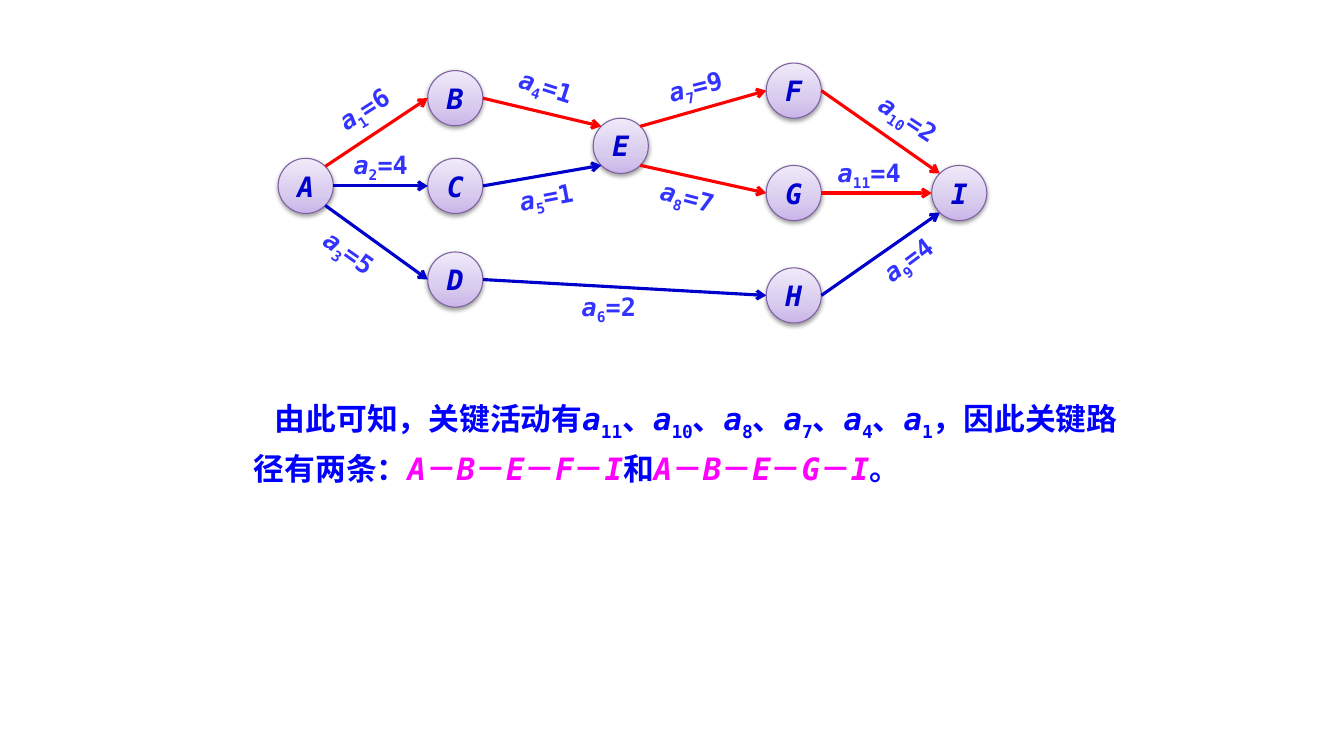
from copy import deepcopy
from math import cos, radians, sin

from lxml import etree
from pptx import Presentation, util as u
from pptx.dml.color import RGBColor
from pptx.enum import lang, shapes, text
from pptx.oxml.ns import qn

COLOURS = {
    "letter": "0000CC",
    "label": "3333FF",
    "note": "0000FF",
    "path": "FF00FF",
    "critical": "FF0000",
    "ordinary": "0000CC",
    "outline": "7D60A0",
    "shadow": "000000",
}
NODE_STOPS = [(0, "C9B5E8"), (0.35, "D8CBEE"), (1, "F0EAF9")]
NODE_SIZE = 1.39
LABEL_SIZE = (2.39, 0.79)

TOP_LEFT, LEFT, BOTTOM_LEFT, BOTTOM_RIGHT, RIGHT, TOP_RIGHT = 1, 2, 3, 5, 6, 7

EVENTS = {
    "A": (7.01, 3.99),
    "B": (10.78, 1.78),
    "C": (10.78, 3.99),
    "D": (10.78, 6.35),
    "E": (14.95, 2.98),
    "F": (19.31, 1.59),
    "G": (19.31, 4.17),
    "H": (19.31, 6.75),
    "I": (23.48, 4.17),
}
ACTIVITIES = [
    ("A", TOP_RIGHT, "B", LEFT, "critical"),
    ("A", RIGHT, "C", LEFT, "ordinary"),
    ("A", BOTTOM_RIGHT, "D", LEFT, "ordinary"),
    ("B", RIGHT, "E", TOP_LEFT, "critical"),
    ("C", RIGHT, "E", BOTTOM_LEFT, "ordinary"),
    ("E", TOP_RIGHT, "F", LEFT, "critical"),
    ("E", BOTTOM_RIGHT, "G", LEFT, "critical"),
    ("D", RIGHT, "H", LEFT, "ordinary"),
    ("F", RIGHT, "I", TOP_LEFT, "critical"),
    ("G", RIGHT, "I", LEFT, "critical"),
    ("H", RIGHT, "I", BOTTOM_LEFT, "ordinary"),
]
WEIGHTS = [
    (1, 6, 7.98, 2.36, 327.3),
    (2, 4, 8.4, 3.76, 0),
    (3, 5, 7.6, 5.97, 35.2),
    (4, 1, 12.57, 1.78, 17.8),
    (5, 1, 12.57, 4.57, 349.2),
    (6, 2, 14.15, 7.34, 0),
    (7, 9, 16.33, 1.78, 346),
    (8, 7, 16.13, 4.57, 14.7),
    (9, 4, 21.69, 6.15, 323.4),
    (10, 2, 21.69, 2.59, 33.4),
    (11, 4, 20.71, 3.96, 0),
]


class NetworkSlide:
    font = "DejaVu Sans Mono"

    def __init__(self, page):
        self.page = page
        self.nodes = {}

    def colour(self, name):
        return RGBColor.from_string(COLOURS[name])

    def span(self, para, string, size, colour, italic=False, subscript=False):
        span = para.add_run()
        span.text = string
        span.font.name = self.font
        span.font.size = u.Pt(size)
        span.font.bold = True
        span.font.italic = italic
        span.font.color.rgb = self.colour(colour)
        span.font.language_id = lang.MSO_LANGUAGE_ID.SIMPLIFIED_CHINESE
        if subscript:
            span.font._element.set("baseline", "-25000")

    def activity_name(self, para, number, size, colour):
        self.span(para, "a", size, colour, italic=True)
        self.span(para, str(number), size, colour, subscript=True)

    def clear_margins(self, frame):
        frame.margin_left = frame.margin_right = 0
        frame.margin_top = frame.margin_bottom = 0

    def node(self, name, left, top):
        node = self.page.shapes.add_shape(
            shapes.MSO_SHAPE.OVAL, u.Cm(left), u.Cm(top), u.Cm(NODE_SIZE), u.Cm(NODE_SIZE))
        node.fill.gradient()
        node.fill.gradient_angle = 90
        properties = node._element.spPr
        stop_list = properties.find(".//" + qn("a:gsLst"))
        stop_list.append(deepcopy(stop_list[0]))
        for stop, (position, hex_colour) in zip(node.fill.gradient_stops, NODE_STOPS):
            stop.position = position
            stop.color.rgb = RGBColor.from_string(hex_colour)
        node.line.color.rgb = self.colour("outline")
        node.line.width = u.Pt(0.75)
        node.shadow.inherit = False
        shadow = etree.SubElement(
            properties.find(qn("a:effectLst")), qn("a:outerShdw"),
            blurRad="40000", dist="20000", dir="5400000", rotWithShape="0")
        shade = etree.SubElement(shadow, qn("a:srgbClr"), val=COLOURS["shadow"])
        etree.SubElement(shade, qn("a:alpha"), val="38000")
        frame = node.text_frame
        self.clear_margins(frame)
        frame.vertical_anchor = text.MSO_ANCHOR.MIDDLE
        para = frame.paragraphs[0]
        para.alignment = text.PP_ALIGN.CENTER
        self.span(para, name, 20, "letter", italic=True)
        self.nodes[name] = node

    def site_point(self, node, site):
        angle = radians(90 + 45 * site)
        radius = node.width / 2
        return (int(node.left + radius + radius * cos(angle)),
                int(node.top + radius - radius * sin(angle)))

    def arrow(self, start, start_site, end, end_site, colour):
        source, target = self.nodes[start], self.nodes[end]
        arrow = self.page.shapes.add_connector(
            shapes.MSO_CONNECTOR.STRAIGHT,
            *self.site_point(source, start_site), *self.site_point(target, end_site))
        arrow.line.color.rgb = self.colour(colour)
        arrow.line.width = u.Pt(2.25)
        etree.SubElement(arrow.line._get_or_add_ln(), qn("a:tailEnd"), type="arrow")
        etree.SubElement(arrow._element.spPr, qn("a:effectLst"))
        joints = arrow._element.find(".//" + qn("p:cNvCxnSpPr"))
        for tag, node, site in (("a:stCxn", source, start_site), ("a:endCxn", target, end_site)):
            etree.SubElement(joints, qn(tag), id=str(node.shape_id), idx=str(site))

    def label(self, number, weight, left, top, rotation):
        box = self.page.shapes.add_textbox(u.Cm(left), u.Cm(top), *map(u.Cm, LABEL_SIZE))
        box.rotation = rotation
        frame = box.text_frame
        frame.word_wrap = True
        self.clear_margins(frame)
        para = frame.paragraphs[0]
        para.alignment = text.PP_ALIGN.CENTER
        self.activity_name(para, number, 18, "label")
        self.span(para, f"={weight}", 18, "label")

    def critical_path(self, para, events):
        for position, event in enumerate(events):
            if position:
                self.span(para, "－", 22, "path")
            self.span(para, event, 22, "path", italic=True)

    def conclusion(self, left, top, width, height):
        box = self.page.shapes.add_textbox(u.Cm(left), u.Cm(top), u.Cm(width), u.Cm(height))
        box.text_frame.word_wrap = True
        para = box.text_frame.paragraphs[0]
        para.line_spacing = 1.2
        para._p.get_or_add_pPr().set("indent", str(u.Cm(0.53)))
        self.span(para, "由此可知，关键活动有", 22, "note")
        for position, number in enumerate((11, 10, 8, 7, 4, 1)):
            if position:
                self.span(para, "、", 22, "note")
            self.activity_name(para, number, 22, "note")
        self.span(para, "，因此关键路径有两条：", 22, "note")
        self.critical_path(para, "ABEFI")
        self.span(para, "和", 22, "note")
        self.critical_path(para, "ABEGI")
        self.span(para, "。", 22, "note")


def main():
    deck = Presentation()
    deck.slide_width, deck.slide_height = u.Cm(33.87), u.Cm(19.05)
    network = NetworkSlide(deck.slides.add_slide(deck.slide_layouts[6]))
    network.conclusion(6.15, 9.74, 22.4, 2.51)
    for name, place in EVENTS.items():
        network.node(name, *place)
    for activity in ACTIVITIES:
        network.arrow(*activity)
    for weight in WEIGHTS:
        network.label(*weight)
    deck.save("out.pptx")


if __name__ == "__main__":
    main()
